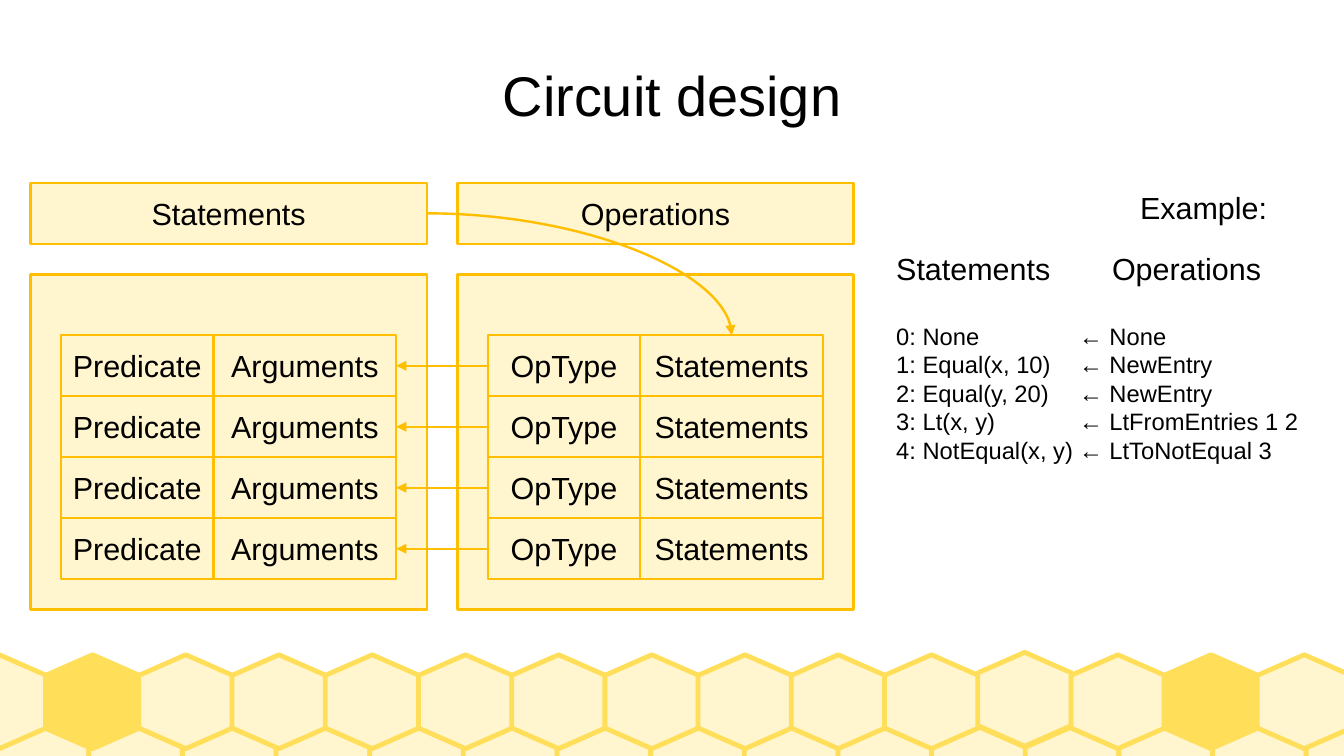
"""Build the circuit design slide: linked statement and operation tables above a honeycomb."""
from dataclasses import dataclass

from lxml.etree import SubElement
from pptx import Presentation
from pptx.dml.color import RGBColor as Rgb
from pptx.enum.shapes import MSO_CONNECTOR as Link, MSO_SHAPE as Preset
from pptx.enum.text import MSO_ANCHOR as Anchor, PP_ALIGN as Align
from pptx.oxml.ns import qn
from pptx.util import Inches, Pt

TITLE = "Circuit design"
PANELS = [
    ("Statements", 1, ("Predicate", "Arguments")),
    ("Operations", 15, ("OpType", "Statements")),
]
ENTRIES = 4
EXAMPLE = "Example:"
LISTINGS = [
    ("Statements", 29, 7, 0, ["0: None", "1: Equal(x, 10)", "2: Equal(y, 20)", "3: Lt(x, y)", "4: NotEqual(x, y)"]),
    ("Operations", 35, 8, 0.27, ["← None", "← NewEntry", "← NewEntry", "← LtFromEntries 1 2", "← LtToNotEqual 3"]),
]
COMB_ROWS = [(-0.04, 10.71, 5.96, (), ()), (-0.39, 10.31, 5.37, (1, 13), (11,))]
COMB_CELLS = 15
HEX_SIZE = 0.77
HEX_OUTLINE = [(0.5, 0), (0, 0.22), (0, 0.78), (0.5, 1), (1, 0.78), (1, 0.22)]
LIFT = 0.02

WIDTH, HEIGHT = 11.02, 6.2
UNIT = 0.25
PANEL_W, PANEL_H = 13, 11
HEADING_TOP, PANEL_TOP, ENTRY_TOP = 6, 9, 11
ENTRY_H = 2
FIELD_WIDTHS = (5, 6)


@dataclass(frozen=True)
class Theme:
    font: str = "Arial"
    ink: Rgb = Rgb(0, 0, 0)
    cream: Rgb = Rgb(0xFF, 0xF5, 0xCE)
    amber: Rgb = Rgb(0xFF, 0xBF, 0x00)
    honey: Rgb = Rgb(0xFF, 0xDE, 0x59)
    title: Pt = Pt(33)
    body: Pt = Pt(18)
    code: Pt = Pt(14)
    rule: Pt = Pt(1.42)
    comb: Pt = Pt(2.83)


THEME = Theme()
deck = Presentation()
deck.slide_width, deck.slide_height = Inches(WIDTH), Inches(HEIGHT)
slide = deck.slides.add_slide(deck.slide_layouts[6])
shapes = slide.shapes


def grid(*steps):
    return [Inches(step * UNIT) for step in steps]


def paint(shape, fill, line, width):
    shape.shadow.inherit = False
    shape.fill.solid()
    shape.fill.fore_color.rgb = fill
    shape.line.color.rgb = line
    shape.line.width = width


def style(paragraph, size, align=Align.LEFT):
    paragraph.alignment = align
    font = paragraph.font
    font.name, font.size, font.color.rgb = THEME.font, size, THEME.ink


def hexagon(left, top, fill):
    points = [(Inches(left + x * HEX_SIZE), Inches(top + y * HEX_SIZE)) for x, y in HEX_OUTLINE]
    outline = shapes.build_freeform(*points[0], scale=1.0)
    outline.add_line_segments(points[1:], close=True)
    paint(outline.convert_to_shape(), fill, THEME.honey, THEME.comb)


def box(left, top, width, height, label=""):
    rect = shapes.add_shape(Preset.RECTANGLE, *grid(left, top, width, height))
    paint(rect, THEME.cream, THEME.amber, THEME.rule)
    if label:
        frame = rect.text_frame
        frame.word_wrap = False
        frame.vertical_anchor = Anchor.MIDDLE
        frame.text = label
        style(frame.paragraphs[0], THEME.body, Align.CENTER)


def arrow(kind, *ends):
    link = shapes.add_connector(kind, *grid(*ends))
    link.line.color.rgb = THEME.amber
    link.line.width = THEME.rule
    SubElement(link.line._get_or_add_ln(), qn("a:tailEnd"), type="triangle")
    properties = link._element.spPr
    SubElement(properties, qn("a:effectLst"))
    if kind == Link.CURVE:
        properties.find(qn("a:prstGeom")).set("prst", "curvedConnector2")


def note(left, top, width, height, lines):
    frame = shapes.add_textbox(*map(Inches, (left, top, width, height))).text_frame
    frame.word_wrap = True
    frame.text = "\n".join(lines)
    return frame


for first, last, top, solid, lifted in COMB_ROWS:
    pitch = (last - first) / (COMB_CELLS - 1)
    for i in range(COMB_CELLS):
        fill = THEME.honey if i in solid else THEME.cream
        hexagon(first + i * pitch, top - LIFT * (i in lifted), fill)

heading = note(0.05 * WIDTH, UNIT, 0.9 * WIDTH, 1.04, [TITLE])
heading.vertical_anchor = Anchor.MIDDLE
style(heading.paragraphs[0], THEME.title, Align.CENTER)

for name, left, fields in PANELS:
    box(left, HEADING_TOP, PANEL_W, ENTRY_H, name)
    box(left, PANEL_TOP, PANEL_W, PANEL_H)
    for entry in range(ENTRIES):
        x = left + 1
        for field, width in zip(fields, FIELD_WIDTHS):
            box(x, ENTRY_TOP + entry * ENTRY_H, width, ENTRY_H, field)
            x += width

statements_left, operations_left = (left for _, left, _ in PANELS)
for entry in range(ENTRIES):
    y = ENTRY_TOP + (entry + 0.5) * ENTRY_H
    arrow(Link.STRAIGHT, operations_left + 1, y, statements_left + 1 + sum(FIELD_WIDTHS), y)
arrow(Link.CURVE, statements_left + PANEL_W, HEADING_TOP + ENTRY_H / 2,
      operations_left + 1 + FIELD_WIDTHS[0] + FIELD_WIDTHS[1] / 2, ENTRY_TOP)

example = note(9.25, HEADING_TOP * UNIT, 1.5, 0.4, [EXAMPLE])
style(example.paragraphs[0], THEME.body)

for name, left, width, indent, lines in LISTINGS:
    listing = note(left * UNIT, 2, width * UNIT, 3, [name, *lines])
    header, *rows = listing.paragraphs
    style(header, THEME.body)
    header.space_after = Pt(20.7)
    header._p.get_or_add_pPr().set("indent", str(Inches(indent)))
    for row in rows:
        style(row, THEME.code)

deck.save("out.pptx")
